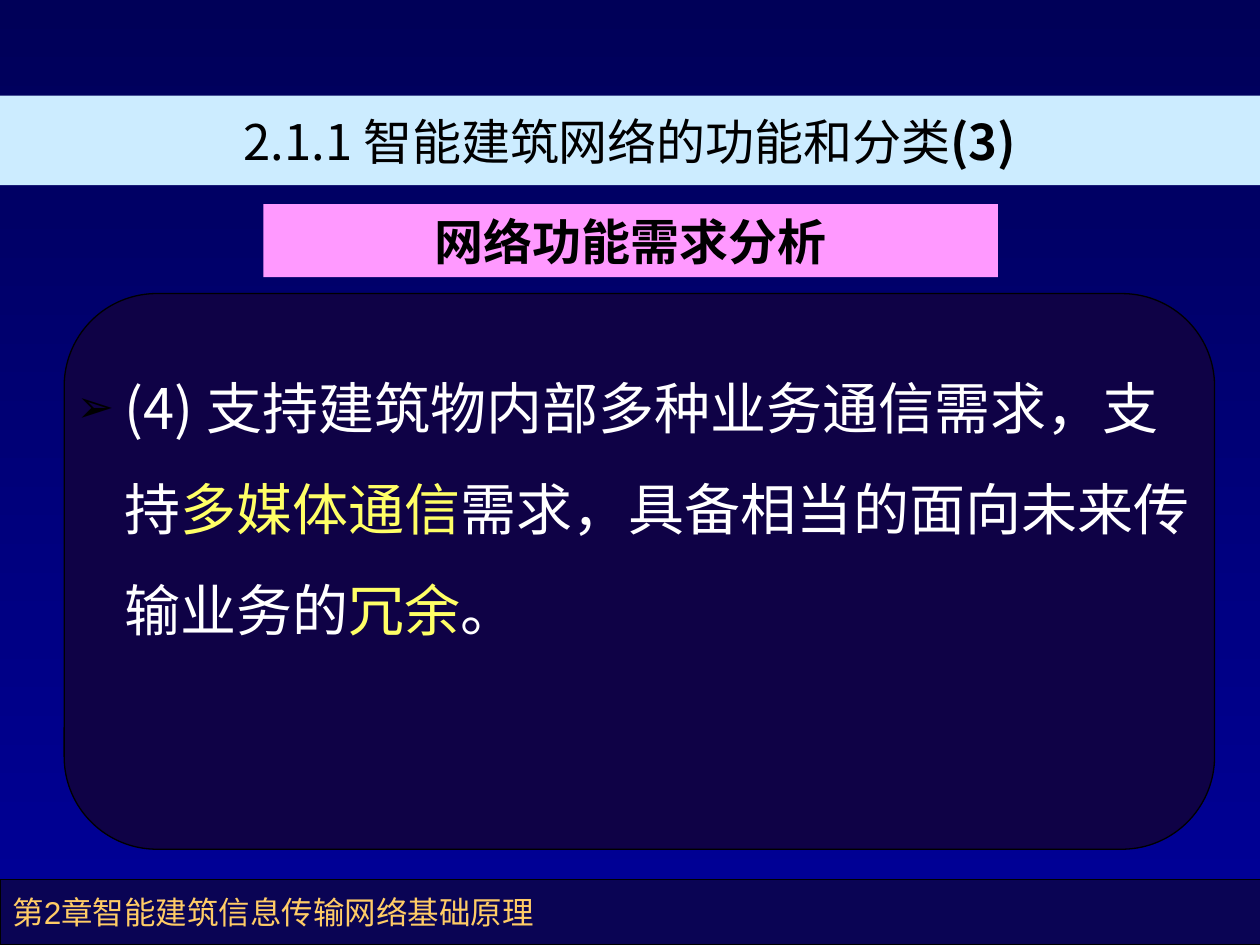
from lxml import etree
from pptx import Presentation
from pptx import util as u
from pptx.dml.color import RGBColor
from pptx.enum import shapes, text
from pptx.oxml.ns import qn

SANS, ARIAL = "Noto Sans CJK SC", "Arial"
BLACK, WHITE, GOLD = "000000", "FFFFFF", "FFFF66"
LEFT, MID = text.PP_ALIGN.LEFT, text.PP_ALIGN.CENTER
RECT, ROUND = shapes.MSO_SHAPE.RECTANGLE, shapes.MSO_SHAPE.ROUNDED_RECTANGLE

SKY = ("000058", "000099")
PANELS = [
    dict(kind=RECT, at=(0, 6.98, 10.04, 0.52), fill="0A0454", line=BLACK,
         size=18, font=ARIAL, align=LEFT, wrap=False,
         runs=[("第2章智能建筑信息传输网络基础原理", "FFCC66", False)]),
    dict(kind=RECT, at=(0, 0.76, 10, 0.71), fill="CCECFF",
         size=28, font=SANS, align=MID,
         runs=[("2.1.1 智能建筑网络的功能和分类", BLACK, False), ("(3)", BLACK, True)]),
    dict(kind=RECT, at=(2.09, 1.62, 5.83, 0.58), fill="FF99FF",
         size=28, font=SANS, align=MID, runs=[("网络功能需求分析", BLACK, True)]),
    dict(kind=ROUND, at=(0.51, 2.33, 9.13, 4.41), fill="0F0246", line=BLACK),
]
BODY = dict(at=(0.51, 2.65, 9.06, 4.1), size=32, font=SANS, align=LEFT, bullet="➢", runs=[
    ("(4) 支持建筑物内部多种业务通信需求，支持", WHITE, False),
    ("多媒体通信", GOLD, False),
    ("需求，具备相当的面向未来传输业务的", WHITE, False),
    ("冗余", GOLD, False),
    ("。", WHITE, False),
])


def tint(code):
    return RGBColor.from_string(code)


def mark(para, sign):
    props = para._p.get_or_add_pPr()
    indent = u.Inches(0.38)
    props.set("marL", str(indent))
    props.set("indent", str(-indent))
    para.line_spacing = 1.5
    color = etree.SubElement(props, qn("a:buClr"))
    etree.SubElement(color, qn("a:srgbClr"), val=BLACK)
    etree.SubElement(props, qn("a:buSzPct"), val="80000")
    etree.SubElement(props, qn("a:buFont"), typeface=ARIAL)
    etree.SubElement(props, qn("a:buChar"), char=sign)


def write(shape, item, anchor):
    frame = shape.text_frame
    frame.word_wrap = item.get("wrap", True)
    frame.vertical_anchor = anchor
    para = frame.paragraphs[0]
    para.alignment = item["align"]
    if "bullet" in item:
        mark(para, item["bullet"])
    for words, color, bold in item["runs"]:
        run = para.add_run()
        run.text = words
        font = run.font
        font.size, font.bold, font.name = u.Pt(item["size"]), bold, item["font"]
        font.color.rgb = tint(color)
        etree.SubElement(run._r.get_or_add_rPr(), qn("a:ea"), typeface=item["font"])


def panel(slide, item):
    shape = slide.shapes.add_shape(item["kind"], *map(u.Inches, item["at"]))
    shape.shadow.inherit = False
    shape.fill.solid()
    shape.fill.fore_color.rgb = tint(item["fill"])
    if "line" in item:
        shape.line.color.rgb = tint(item["line"])
        shape.line.width = u.Pt(0.75)
    else:
        shape.line.fill.background()
    if "runs" in item:
        write(shape, item, text.MSO_ANCHOR.MIDDLE)


def main():
    """Build the slide on network needs and save it."""
    deck = Presentation()
    deck.slide_width, deck.slide_height = u.Inches(10), u.Inches(7.5)
    slide = deck.slides.add_slide(deck.slide_layouts[6])
    back = slide.background.fill
    back.gradient()
    back.gradient_angle = 270
    for stop, code in zip(back.gradient_stops, SKY):
        stop.color.rgb = tint(code)
    for item in PANELS:
        panel(slide, item)
    box = slide.shapes.add_textbox(*map(u.Inches, BODY["at"]))
    write(box, BODY, text.MSO_ANCHOR.TOP)
    deck.save("out.pptx")


if __name__ == "__main__":
    main()
